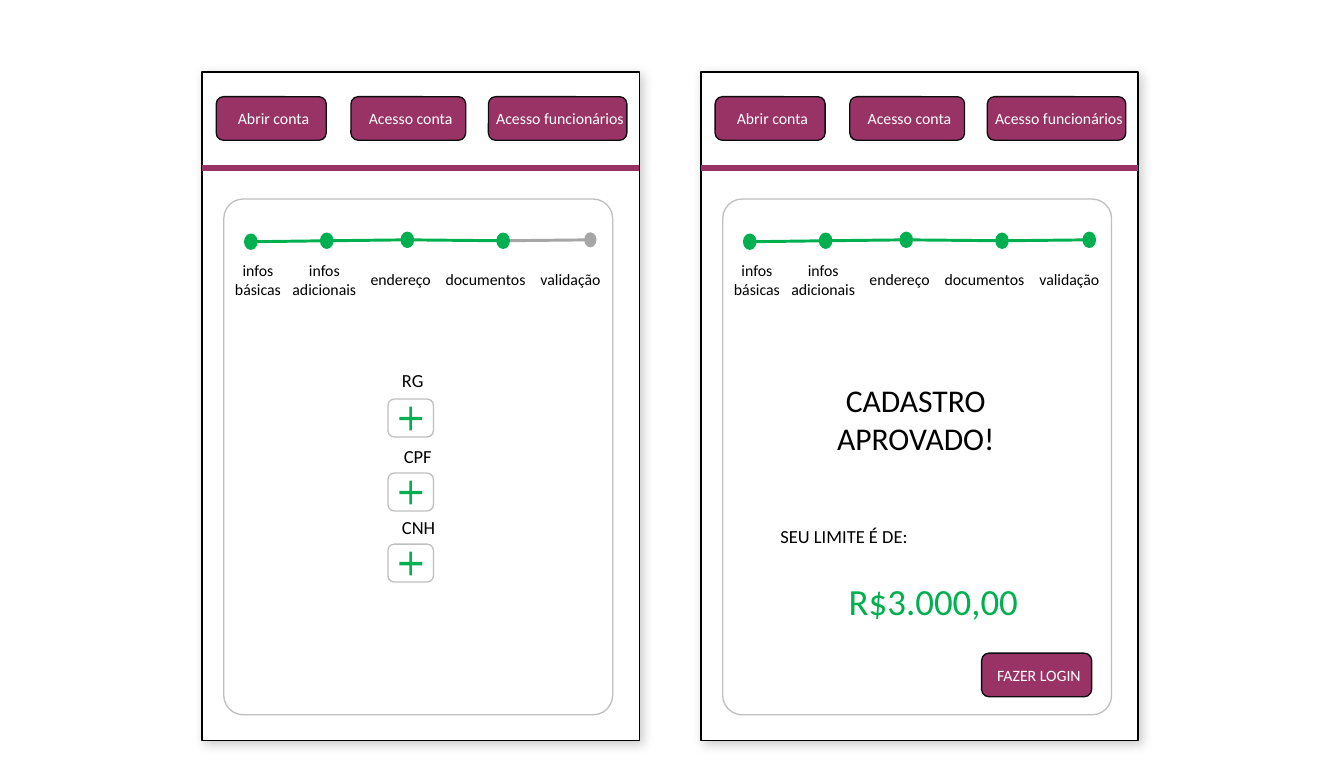
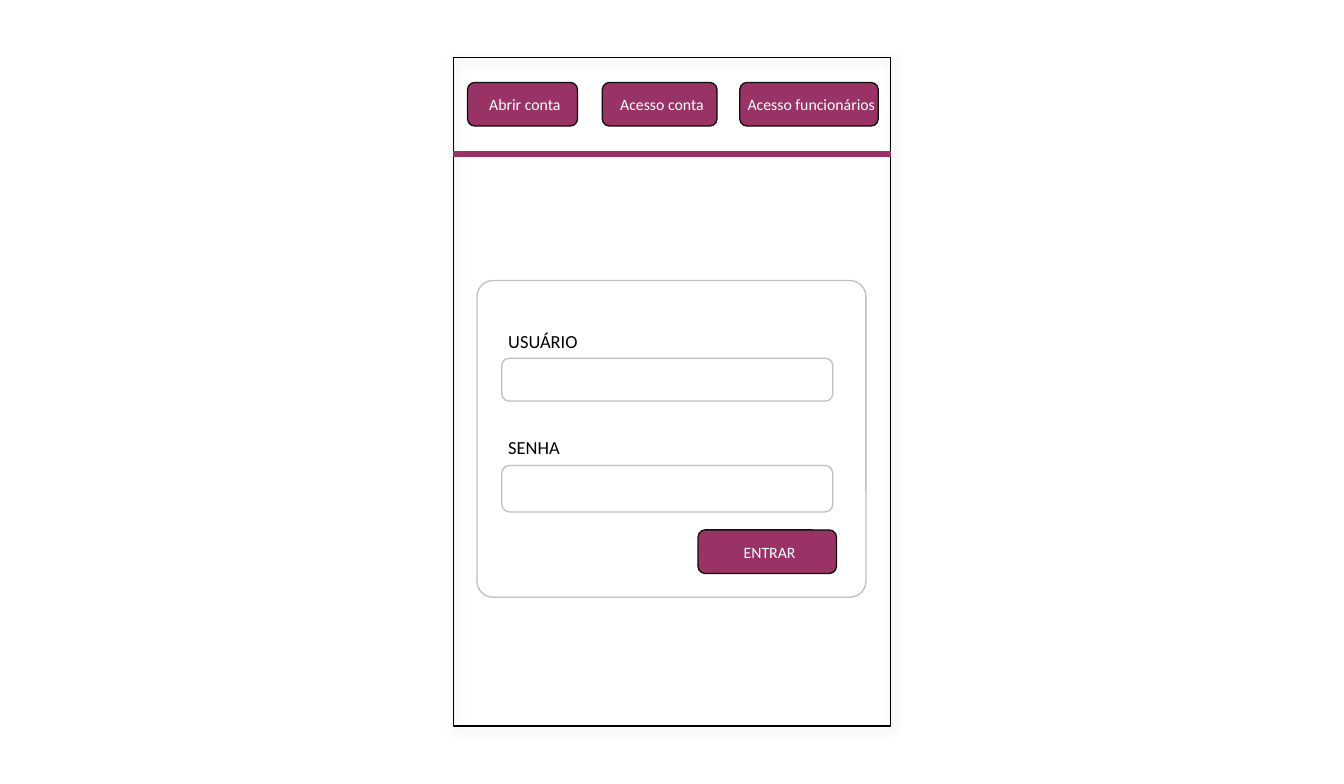
from itertools import pairwise

from lxml import etree
from pptx import Presentation
from pptx.dml.color import RGBColor
from pptx.enum.shapes import MSO_CONNECTOR, MSO_SHAPE
from pptx.enum.text import MSO_ANCHOR, PP_ALIGN
from pptx.oxml.ns import qn
from pptx.util import Inches, Pt

RECTANGLE = MSO_SHAPE.RECTANGLE
ROUNDED = MSO_SHAPE.ROUNDED_RECTANGLE
OVAL = MSO_SHAPE.OVAL
PLUS = MSO_SHAPE.CROSS
STRAIGHT = MSO_CONNECTOR.STRAIGHT
LEFT = PP_ALIGN.LEFT
CENTER = PP_ALIGN.CENTER
TOP = MSO_ANCHOR.TOP
MIDDLE = MSO_ANCHOR.MIDDLE

WHITE = RGBColor(0xFF, 0xFF, 0xFF)
BLACK = RGBColor(0, 0, 0)
NEAR_BLACK = RGBColor(0x0D, 0x0D, 0x0D)
PLUM = RGBColor(0x99, 0x33, 0x66)
GREEN = RGBColor(0x00, 0xB0, 0x50)
GREY = RGBColor(0xA6, 0xA6, 0xA6)
PALE_GREY = RGBColor(0xBF, 0xBF, 0xBF)
FONT = "Calibri"

PHONE_WIDTH, PHONE_HEIGHT = 4.61, 7.05
CARD_WIDTH = 4.1
BUTTON_HEIGHT = 0.46
DOT_WIDTH, DOT_HEIGHT = 0.13, 0.16

MENU = [("Abrir conta", 0.15, 1.16), ("Acesso conta", 1.57, 1.21),
        ("Acesso funcionários", 3.02, 1.46)]
STEPS = [("infos básicas", 0.45, 1.71, 0.2, 0.78),
         ("infos adicionais", 1.25, 1.7, 0.76, 1.06),
         ("endereço", 2.1, 1.69, 1.53, 1.13),
         ("documentos", 3.11, 1.7, 2.46, 1.06),
         ("validação", 4.03, 1.69, 3.29, 1.19)]
DOCUMENTS = [("RG", 2.01, 3.08, 3.45), ("CPF", 2.03, 3.89, 4.23),
             ("CNH", 2.01, 4.64, 4.98)]
FIELDS = [("USUÁRIO", 2.82, 3.17, 0.45), ("SENHA", 3.94, 4.3, 0.49)]


def apply_format(target, values):
    for name, value in values.items():
        setattr(target, name, value)


class Phone:
    def __init__(self, slide, left, top, fill=None):
        self.shapes = slide.shapes.add_group_shape().shapes
        self.left, self.top = left, top
        frame = self.add_shape(RECTANGLE, 0, 0, PHONE_WIDTH, PHONE_HEIGHT, fill, BLACK)
        add_shadow(frame)

    def place(self, left, top):
        return Inches(self.left + left), Inches(self.top + top)

    def add_shape(self, kind, left, top, width, height, fill=None, line=None, adjustment=None):
        shape = self.shapes.add_shape(
            kind, *self.place(left, top), Inches(width), Inches(height))
        shape.shadow.inherit = False
        if fill is None:
            shape.fill.background()
        else:
            shape.fill.solid()
            shape.fill.fore_color.rgb = fill
        if line is None:
            shape.line.fill.background()
        else:
            shape.line.color.rgb = line
            shape.line.width = Pt(1)
        if adjustment is not None:
            shape.adjustments[0] = adjustment
        return shape

    def add_line(self, start, end, color, width):
        line = self.shapes.add_connector(STRAIGHT, *self.place(*start), *self.place(*end))
        line.line.color.rgb = color
        line.line.width = Pt(width)
        etree.SubElement(line._element.spPr, qn("a:effectLst"))

    def add_text(self, text, left, top, width, height, size=14, color=BLACK,
                 alignment=LEFT, anchor=TOP):
        box = self.shapes.add_textbox(
            *self.place(left, top), Inches(width), Inches(height))
        write(box.text_frame, text, size, color, alignment, anchor)

    def add_button(self, text, left, top, width):
        button = self.add_shape(ROUNDED, left, top, width, BUTTON_HEIGHT, PLUM, NEAR_BLACK)
        apply_format(button.text_frame, {"margin_left": Inches(0.05), "margin_right": 0})
        write(button.text_frame, text, 12, WHITE, CENTER, MIDDLE)

    def add_card(self, left, top, height):
        self.add_shape(ROUNDED, left, top, CARD_WIDTH, height, line=PALE_GREY, adjustment=0.05)

    def add_menu(self):
        self.add_line((0, 1.01), (PHONE_WIDTH, 1.01), PLUM, 4.5)
        for text, left, width in MENU:
            self.add_button(text, left, 0.26, width)


def write(frame, text, size, color, alignment, anchor):
    apply_format(frame, {"word_wrap": True, "vertical_anchor": anchor})
    paragraph = frame.paragraphs[0]
    paragraph.alignment = alignment
    run = paragraph.add_run()
    run.text = text
    apply_format(run.font, {"name": FONT, "size": Pt(size)})
    run.font.color.rgb = color


def add_shadow(shape):
    effects = shape._element.spPr.find(qn("a:effectLst"))
    shadow = etree.SubElement(effects, qn("a:outerShdw"), blurRad=str(Pt(8)),
                              dist=str(Pt(3)), dir="2700000", algn="tl", rotWithShape="0")
    color = etree.SubElement(shadow, qn("a:srgbClr"), val="808080")
    etree.SubElement(color, qn("a:alpha"), val="40000")


def add_progress(phone, completed):
    centers = [(left + DOT_WIDTH / 2, top + DOT_HEIGHT / 2) for _, left, top, _, _ in STEPS]
    for position, (start, end) in enumerate(pairwise(centers), 1):
        phone.add_line(start, end, GREEN if position < completed else GREY, 2.25)
    for position, (text, left, top, label_left, label_width) in enumerate(STEPS):
        done = position < completed
        phone.add_shape(OVAL, left, top, DOT_WIDTH, DOT_HEIGHT,
                        GREEN if done else GREY, GREEN if done else None)
        phone.add_text(text, label_left, 1.94, label_width, 0.5, 12,
                       alignment=CENTER, anchor=MIDDLE)


def add_registration_phone(slide, left, top, completed):
    phone = Phone(slide, left, top, WHITE)
    phone.add_menu()
    phone.add_card(0.23, 1.34, 5.44)
    add_progress(phone, completed)
    return phone


def add_documents(phone):
    for text, label_left, label_top, button_top in DOCUMENTS:
        phone.add_text(text, label_left, label_top, 1.13, 0.34)
        phone.add_shape(ROUNDED, 1.96, button_top, 0.48, 0.4, WHITE, PALE_GREY)
        phone.add_shape(PLUS, 2.08, button_top + 0.08, 0.24, 0.25, GREEN, adjustment=0.446)


def add_approval(phone):
    phone.add_text("CADASTRO APROVADO!", 1.26, 3.21, 2.01, 0.91, 24, alignment=CENTER)
    phone.add_text("SEU LIMITE É DE:", 0.74, 4.73, 2.01, 0.34)
    phone.add_text("R$3.000,00", 1.46, 5.29, 2.25, 0.57, 28, GREEN)
    phone.add_button("FAZER LOGIN", 2.96, 6.13, 1.16)


def add_login_phone(slide, left, top):
    phone = Phone(slide, left, top)
    phone.add_menu()
    phone.add_card(0.25, 2.35, 3.34)
    for text, label_top, field_top, field_height in FIELDS:
        phone.add_text(text, 0.48, label_top, 2.02, 0.34)
        phone.add_shape(ROUNDED, 0.51, field_top, 3.49, field_height, WHITE, PALE_GREY)
    phone.add_button("ENTRAR", 2.58, 4.98, 1.46)


def main():
    presentation = Presentation()
    apply_format(presentation, {"slide_width": Inches(14.17), "slide_height": Inches(8.27)})
    blank = presentation.slide_layouts.get_by_name("Blank")

    registration = presentation.slides.add_slide(blank)
    add_documents(add_registration_phone(registration, 2.13, 0.76, 4))
    add_approval(add_registration_phone(registration, 7.39, 0.76, 5))

    login = presentation.slides.add_slide(blank)
    add_login_phone(login, 4.78, 0.61)

    presentation.save("out.pptx")


main()
